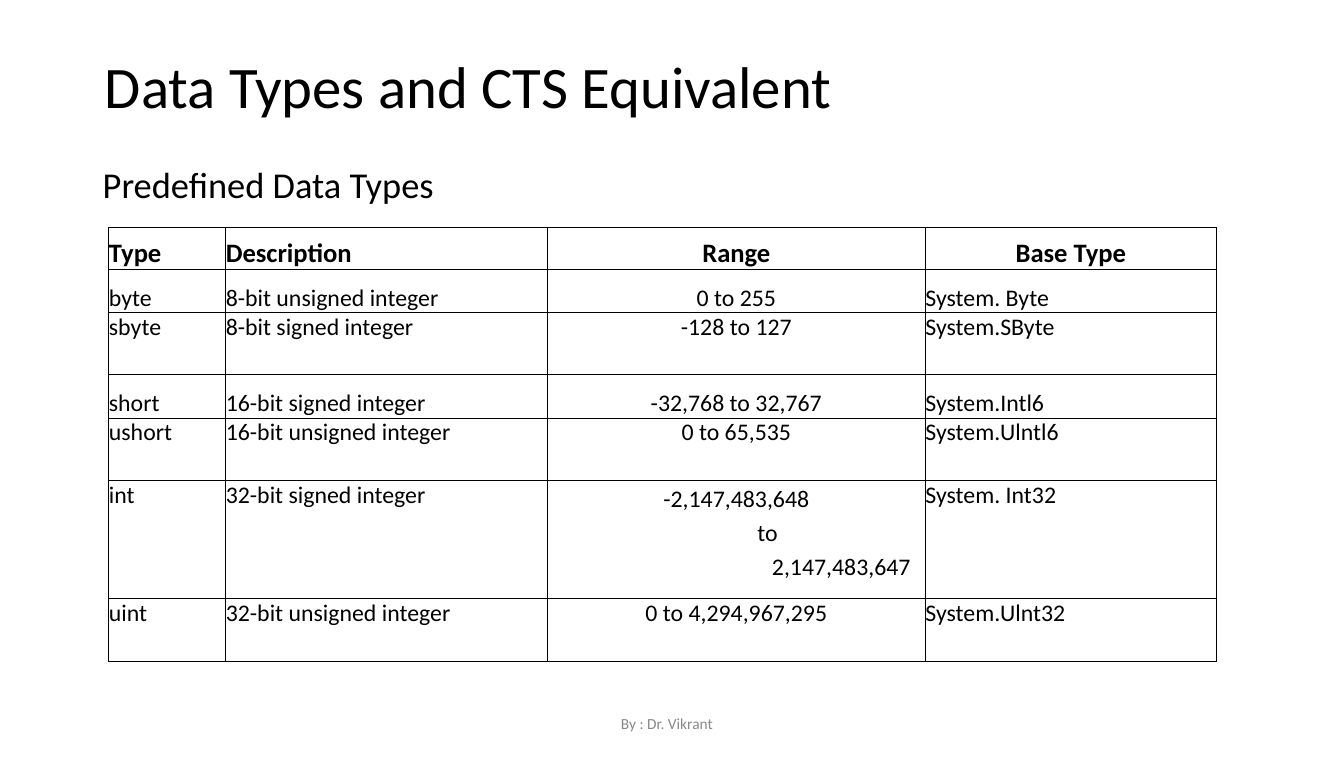
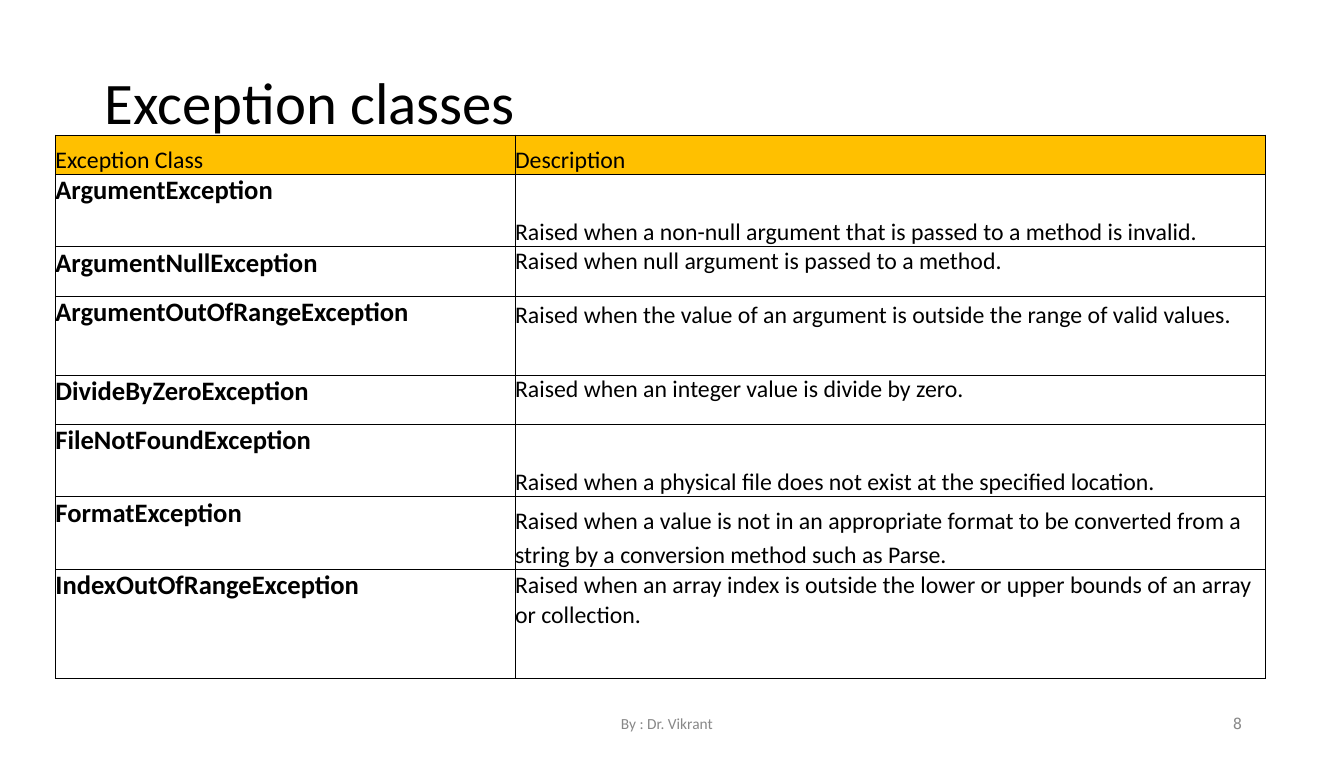
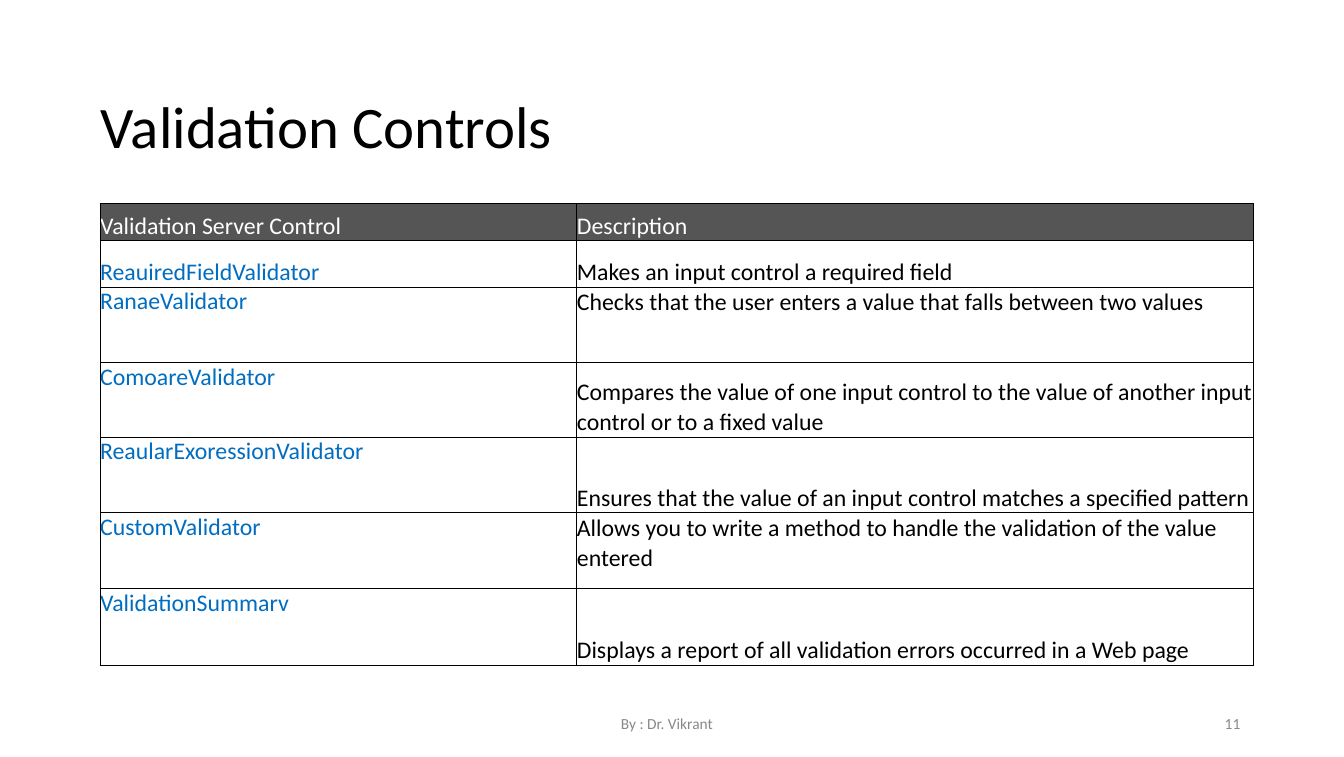
from dataclasses import dataclass

from lxml import etree
from pptx import Presentation
from pptx.dml.color import RGBColor
from pptx.enum.text import MSO_ANCHOR, MSO_AUTO_SIZE, PP_ALIGN
from pptx.oxml.ns import qn
from pptx.util import Pt

ALIGN = {"L": PP_ALIGN.LEFT, "C": PP_ALIGN.CENTER}
ANCHOR = {"T": MSO_ANCHOR.TOP, "B": MSO_ANCHOR.BOTTOM}
NO_AUTOFIT = MSO_AUTO_SIZE.NONE
TITLE_AND_CONTENT, TITLE_ONLY = 1, 5


@dataclass(frozen=True)
class Theme:
    font: str = "Calibri"
    mono: str = "DejaVu Sans Mono"
    ink: str = "000000"
    paper: str = "FFFFFF"
    muted: str = "888888"
    amber: str = "FFC000"
    slate: str = "555555"
    link: str = "016DC0"
    title: int = 42
    subtitle: int = 26
    strong: int = 19
    cell: int = 17
    footer: int = 11
    border: float = 0.75


@dataclass(frozen=True)
class Line:
    text: str
    align: str = "L"
    indent: float = 0


THEME = Theme()
SLIDE_SIZE = (960, 540.7)
FOOTER = ("By : Dr. Vikrant", (443.5, 509.8, 72.7, 13))
STRONG = {"size": THEME.strong, "bold": True}
LINKED = {"color": THEME.link}

INT_RANGE = (
    Line("-2,147,483,648", "C"),
    Line("to", "L", 150),
    Line("2,147,483,647", "C", 150),
)

# Each row: height, one anchor per cell, line pitch of the pitched column, texts
SLIDES = [
    {
        "title": ("Data Types and CTS Equivalent", (74.9, 35.3, 541.4, 40.3)),
        "subtitle": ("Predefined Data Types", (73.4, 115.9, 254.2, 27.4)),
        "table": {
            "at": (77.8, 162.7),
            "columns": (83.5, 229.7, 270, 208),
            "aligns": "LLCL",
            "header_aligns": "LLCC",
            "header": STRONG,
            "pitched": 2,
            "rows": [
                (29.5, "BBBB", None, ("Type", "Description", "Range", "Base Type")),
                (31, "BBBB", None, ("byte", "8-bit unsigned integer", "0 to 255", "System. Byte")),
                (44.6, "TTTT", None, ("sbyte", "8-bit signed integer", "-128 to 127", "System.SByte")),
                (31, "BBBB", None, ("short", "16-bit signed integer", "-32,768 to 32,767", "System.Intl6")),
                (44.6, "TTTT", None, ("ushort", "16-bit unsigned integer", "0 to 65,535", "System.Ulntl6")),
                (84.2, "TTTT", 24, ("int", "32-bit signed integer", INT_RANGE, "System. Int32")),
                (44.6, "TTTT", None, ("uint", "32-bit unsigned integer", "0 to 4,294,967,295", "System.Ulnt32")),
            ],
        },
    },
    {
        "title": ("Exception classes", (74.9, 46.8, 304.6, 40.3)),
        "table": {
            "at": (39.6, 96.5),
            "columns": (328.3, 535.9),
            "header_fill": THEME.amber,
            "first_column": STRONG,
            "rows": [
                (28.1, "BB", None, ("Exception Class", "Description")),
                (51.8, "TB", 23.8, ("ArgumentException",
                 "Raised when a non-null argument that is passed to a method is invalid.")),
                (35.3, "TT", None, ("ArgumentNullException",
                 "Raised when null argument is passed to a method.")),
                (56.2, "TT", 24, ("ArgumentOutOfRangeException",
                 "Raised when the value of an argument is outside the range of valid values.")),
                (35.3, "TT", None, ("DivideByZeroException",
                 "Raised when an integer value is divide by zero.")),
                (51.8, "TB", 24, ("FileNotFoundException",
                 "Raised when a physical file does not exist at the specified location.")),
                (51.8, "TB", 24, ("FormatException",
                 "Raised when a value is not in an appropriate format to be converted "
                 "from a string by a conversion method such as Parse.")),
                (77.8, "TT", 21.6, ("IndexOutOfRangeException",
                 "Raised when an array index is outside the lower or upper bounds "
                 "of an array or collection.")),
            ],
        },
        "number": ("8", (880.6, 509.8, 7.9, 10.8), THEME.mono),
    },
    {
        "title": ("Validation Controls", (72, 64.1, 337.7, 33.1)),
        "table": {
            "at": (71.5, 145.4),
            "columns": (340.6, 483.1),
            "header": {"color": THEME.paper},
            "header_fill": THEME.slate,
            "first_column": LINKED,
            "rows": [
                (26.6, "BB", None, ("Validation Server Control", "Description")),
                (33.1, "BB", None, ("ReauiredFieldValidator",
                 "Makes an input control a required field")),
                (54, "TT", 21.6, ("RanaeValidator",
                 "Checks that the user enters a value that falls between two values")),
                (53.3, "TB", 21.6, ("ComoareValidator",
                 "Compares the value of one input control to the value of another "
                 "input control or to a fixed value")),
                (54, "TB", 21.6, ("ReaularExoressionValidator",
                 "Ensures that the value of an input control matches a specified pattern")),
                (54, "TT", 21.6, ("CustomValidator",
                 "Allows you to write a method to handle the validation of the value entered")),
                (54.7, "TB", 21.6, ("ValidationSummarv",
                 "Displays a report of all validation errors occurred in a Web page")),
            ],
        },
        "number": ("11", (874.8, 509.8, 13.7, 10.8), THEME.font),
    },
]


def write(frame, content, *, size=THEME.cell, color=THEME.ink, font=THEME.font,
          bold=False, align="L", pitch=None, after=0):
    """Fill a text frame with a string or with a tuple of Lines."""
    lines = (Line(content, align),) if isinstance(content, str) else content
    for index, line in enumerate(lines):
        para = frame.add_paragraph() if index else frame.paragraphs[0]
        para.alignment = ALIGN[line.align]
        para.line_spacing = Pt(pitch) if pitch else 1.0
        para.space_before, para.space_after = Pt(0), Pt(after)
        properties = para._p.get_or_add_pPr()
        properties.set("marL", str(Pt(line.indent)))
        properties.set("indent", "0")
        etree.SubElement(properties, qn("a:buNone"))
        span = para.add_run()
        span.text = line.text
        span.font.name, span.font.size, span.font.bold = font, Pt(size), bold
        span.font.color.rgb = RGBColor.from_string(color)


def clear_margins(holder):
    holder.margin_left = holder.margin_right = Pt(0)
    holder.margin_top = holder.margin_bottom = Pt(0)


def fill_box(box, content, at, **text_format):
    """Place a text box or placeholder and write its text."""
    box.left, box.top, box.width, box.height = map(Pt, at)
    frame = box.text_frame
    clear_margins(frame)
    frame.word_wrap = False
    frame.auto_size = NO_AUTOFIT
    frame.vertical_anchor = ANCHOR["T"]
    write(frame, content, **text_format)


def add_label(page, content, at, **text_format):
    box = page.shapes.add_textbox(*map(Pt, at))
    fill_box(box, content, at, size=THEME.footer, color=THEME.muted, **text_format)


def add_borders(cell):
    properties = cell._tc.get_or_add_tcPr()
    for side in ("a:lnL", "a:lnR", "a:lnT", "a:lnB"):
        line = etree.SubElement(properties, qn(side), w=str(Pt(THEME.border)))
        solid = etree.SubElement(line, qn("a:solidFill"))
        etree.SubElement(solid, qn("a:srgbClr"), val=THEME.ink)


def format_cell(cell, content, anchor, fill, **text_format):
    clear_margins(cell)
    cell.vertical_anchor = ANCHOR[anchor]
    add_borders(cell)
    if fill:
        cell.fill.solid()
        cell.fill.fore_color.rgb = RGBColor.from_string(fill)
    else:
        cell.fill.background()
    write(cell.text_frame, content, **text_format)


def add_grid(page, design):
    rows, columns = design["rows"], design["columns"]
    size = (sum(columns), sum(row[0] for row in rows))
    table = page.shapes.add_table(
        len(rows), len(columns), *map(Pt, design["at"] + size)).table
    table.first_row = table.horz_banding = False
    for column, width in zip(table.columns, columns):
        column.width = Pt(width)

    body_aligns = design.get("aligns", "L" * len(columns))
    pitched = design.get("pitched", 1)
    for r, (height, anchors, pitch, texts) in enumerate(rows):
        table.rows[r].height = Pt(height)
        is_header = r == 0
        aligns = design.get("header_aligns", body_aligns) if is_header else body_aligns
        for c, content in enumerate(texts):
            look = {}
            if is_header:
                look = design.get("header", {})
            elif c == 0:
                look = design.get("first_column", {})
            format_cell(table.cell(r, c), content, anchors[c],
                        design.get("header_fill") if is_header else None,
                        align=aligns[c], pitch=pitch if c == pitched else None, **look)


def add_page(deck, content):
    subtitle = content.get("subtitle")
    layout = TITLE_AND_CONTENT if subtitle else TITLE_ONLY
    page = deck.slides.add_slide(deck.slide_layouts[layout])
    fill_box(page.shapes.title, *content["title"], size=THEME.title)
    if subtitle:
        fill_box(page.placeholders[1], *subtitle, size=THEME.subtitle, after=16.8)
    add_grid(page, content["table"])
    add_label(page, *FOOTER)
    if "number" in content:
        number, at, font = content["number"]
        add_label(page, number, at, font=font)


def main():
    deck = Presentation()
    deck.slide_width, deck.slide_height = map(Pt, SLIDE_SIZE)
    for content in SLIDES:
        add_page(deck, content)
    deck.save("out.pptx")


if __name__ == "__main__":
    main()
